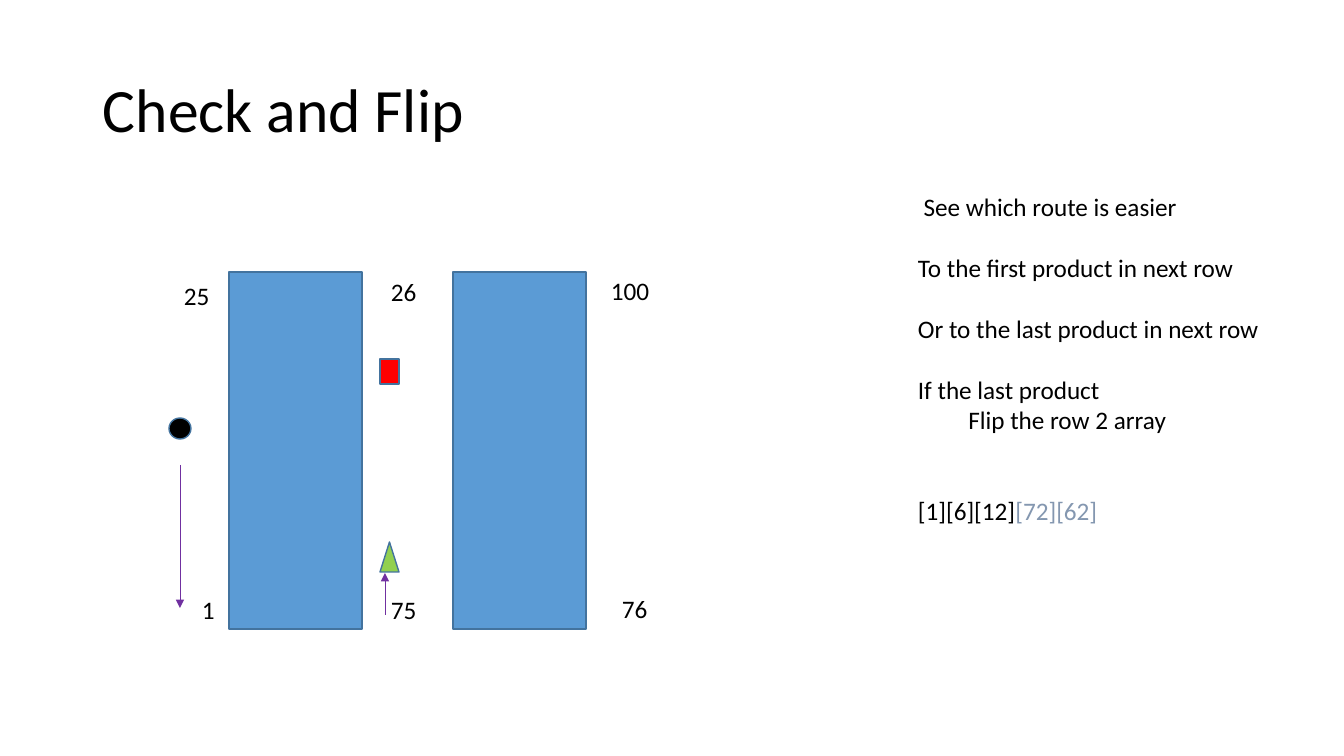
"""Build the Check and Flip slide: two shelf rows, route markers and notes."""
from dataclasses import dataclass

from lxml.etree import SubElement
from pptx import Presentation
from pptx.dml.color import RGBColor
from pptx.enum.shapes import MSO_CONNECTOR as Connector, MSO_SHAPE as Shape
from pptx.enum.text import MSO_ANCHOR as Anchor
from pptx.oxml.ns import qn
from pptx.util import Emu, Pt

PIXEL = 914400 / 100.8


@dataclass(frozen=True)
class Theme:
    font: str = "Calibri"
    title_size: int = 44
    body_size: int = 18
    blank_line: int = 22
    outline_width: float = 1
    arrow_width: float = 0.5
    text: str = "000000"
    muted: str = "8497B0"
    shelf: str = "5B9BD5"
    outline: str = "43739E"
    person: str = "000000"
    last_product: str = "FF0000"
    first_product: str = "92D050"
    arrow: str = "7030A0"


THEME = Theme()


def px(*lengths):
    return [Emu(round(length * PIXEL)) for length in lengths]


def color(value):
    return RGBColor.from_string(value)


def add_run(paragraph, text, size=THEME.body_size, fill=THEME.text):
    run = paragraph.add_run()
    run.text = text
    run.font.name = THEME.font
    run.font.size = Pt(size)
    run.font.color.rgb = color(fill)


def add_text_frame(slide, box):
    frame = slide.shapes.add_textbox(*px(*box)).text_frame
    frame.word_wrap = True
    return frame


def add_title(slide, text, box):
    frame = add_text_frame(slide, box)
    frame.vertical_anchor = Anchor.MIDDLE
    paragraph = frame.paragraphs[0]
    paragraph.line_spacing = 0.9
    add_run(paragraph, text, THEME.title_size)


def add_label(slide, box, *runs):
    paragraph = add_text_frame(slide, box).paragraphs[0]
    for text, fill in runs:
        add_run(paragraph, text, fill=fill)


def add_notes_block(slide, box, groups):
    frame = add_text_frame(slide, box)
    paragraph = frame.paragraphs[0]
    for group_index, lines in enumerate(groups):
        for line_index, line in enumerate(lines):
            if group_index or line_index:
                paragraph = frame.add_paragraph()
            if group_index and not line_index:
                paragraph.space_before = Pt(THEME.blank_line)
            add_run(paragraph, line)


def add_marker(slide, kind, box, fill):
    shape = slide.shapes.add_shape(kind, *px(*box))
    shape.shadow.inherit = False
    shape.fill.solid()
    shape.fill.fore_color.rgb = color(fill)
    shape.line.color.rgb = color(THEME.outline)
    shape.line.width = Pt(THEME.outline_width)


def add_vertical_arrow(slide, x, start, end):
    arrow = slide.shapes.add_connector(Connector.STRAIGHT, *px(x, start, x, end))
    arrow.line.color.rgb = color(THEME.arrow)
    arrow.line.width = Pt(THEME.arrow_width)
    properties = arrow._element.spPr
    SubElement(properties.find(qn("a:ln")), qn("a:tailEnd"), type="triangle")
    SubElement(properties, qn("a:effectLst"))


def main():
    presentation = Presentation()
    presentation.slide_width, presentation.slide_height = px(1344, 756)
    slide = presentation.slides.add_slide(presentation.slide_layouts[6])

    add_title(slide, "Check and Flip", (93, 40, 1159, 146))
    for left in (229, 453):
        add_marker(slide, Shape.RECTANGLE, (left, 272, 133, 357), THEME.shelf)

    add_notes_block(slide, (908, 186, 380, 285), [
        [" See which route is easier"],
        ["To the first product in next row"],
        ["Or to the last product in next row"],
        ["If the last product", "\tFlip the row 2 array"],
    ])

    for text, left, top, width in (
        ("1", 192, 589, 37),
        ("25", 174, 275, 54),
        ("26", 381, 271, 54),
        ("75", 381, 589, 54),
        ("76", 612, 588, 54),
        ("100", 601, 270, 76),
    ):
        add_label(slide, (left, top, width, 40), (text, THEME.text))

    add_marker(slide, Shape.OVAL, (169, 418, 22, 21), THEME.person)
    add_marker(slide, Shape.RECTANGLE, (380, 359, 19, 25), THEME.last_product)
    add_marker(slide, Shape.ISOSCELES_TRIANGLE, (380, 542, 19, 30), THEME.first_product)
    add_vertical_arrow(slide, 180, 465, 608)
    add_vertical_arrow(slide, 385, 615, 573)

    add_label(slide, (908, 490, 409, 40),
              ("[1][6][12]", THEME.text), ("[72][62]", THEME.muted))
    presentation.save("out.pptx")


if __name__ == "__main__":
    main()
